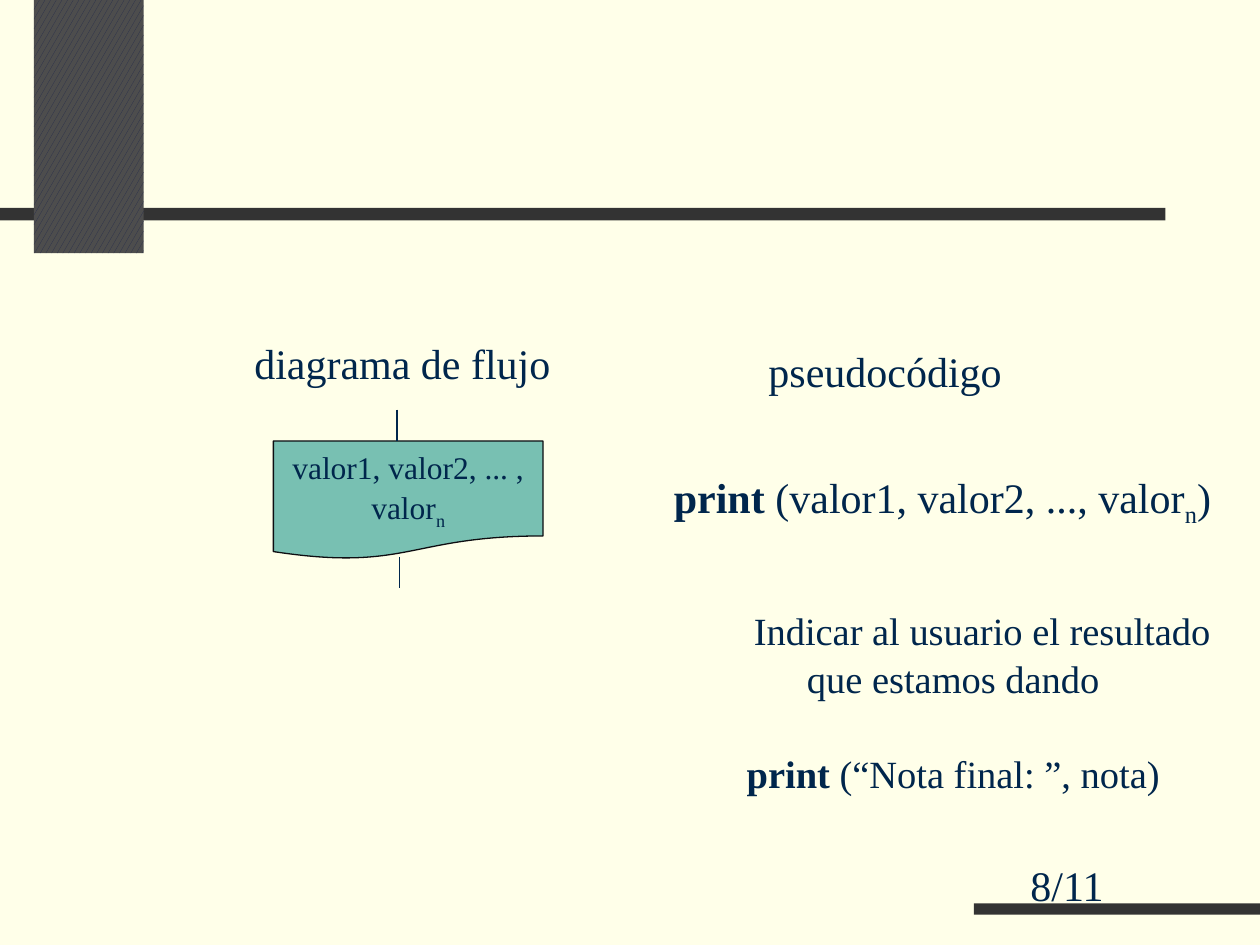
from pptx import Presentation
from pptx.dml.color import RGBColor
from pptx.enum.dml import MSO_PATTERN
from pptx.enum.shapes import MSO_CONNECTOR, MSO_SHAPE
from pptx.enum.text import MSO_ANCHOR, PP_ALIGN
from pptx.oxml.ns import qn
from pptx.util import Inches, Pt

INK = "00264C"
BARS = [(0, 1.65, 9.25, 0.1), (7.73, 7.17, 2.27, 0.09)]
TOWER = (0.27, 0, 0.87, 2.01)
FLOW_LINES = [(3.15, 3.25), (3.17, 4.42)]
FLOW_LENGTH = 0.25
BOLD, SUB = "bold", "subscript"

DOCUMENT = {
    "at": (2.17, 3.5, 2.14, 0.94),
    "size": 18,
    "align": PP_ALIGN.CENTER,
    "lines": [[("valor1, valor2, ... ,", "")], [("valor", ""), ("n", SUB)]],
}
LABELS = [
    {"at": (1.92, 2.61, 3, 0.5), "size": 24, "align": PP_ALIGN.LEFT,
     "lines": [[("diagrama de flujo", "")]]},
    {"at": (6, 2.67, 2.05, 0.5), "size": 24, "align": PP_ALIGN.LEFT,
     "lines": [[("pseudocódigo", "")]]},
    {"at": (5.25, 3.67, 4.48, 0.5), "size": 24, "align": PP_ALIGN.LEFT,
     "lines": [[("print", BOLD), (" (valor1, valor2, ..., valor", ""),
                ("n", SUB), (")", "")]]},
    {"at": (5.32, 4.75, 4.49, 1.2), "size": 22, "align": PP_ALIGN.CENTER,
     "first_indent": 0.46, "last_gap": 26.5,
     "lines": [[("Indicar al usuario el resultado", "")],
               [("que estamos dando", "")],
               [("print", BOLD), (" (“Nota final: ”, nota)", "")]]},
    {"at": (8.08, 6.75, 1.42, 0.42), "size": 24, "align": PP_ALIGN.LEFT,
     "lines": [[("8/11", "")]]},
]


def color(value):
    """Turn a hex string into a colour."""
    return RGBColor.from_string(value)


def place(values):
    """Turn numbers into lengths in inches."""
    return [Inches(value) for value in values]


def write(shape, label, wrap):
    """Write the lines of a label into a shape."""
    frame = shape.text_frame
    frame.word_wrap = wrap
    for index, line in enumerate(label["lines"]):
        para = frame.add_paragraph() if index else frame.paragraphs[0]
        settings = {"alignment": label["align"], "line_spacing": 1.05}
        for name, value in settings.items():
            setattr(para, name, value)
        for text, style in line:
            span = para.add_run()
            span.text = text
            formats = {"name": "Times New Roman", "size": Pt(label["size"]),
                       "bold": style == BOLD}
            for name, value in formats.items():
                setattr(span.font, name, value)
            span.font.color.rgb = color(INK)
            if style == SUB:
                span.font._element.set("baseline", "-25000")
    if "first_indent" in label:
        properties = frame.paragraphs[0]._p.get_or_add_pPr()
        properties.set("marL", str(Inches(label["first_indent"])))
        properties.set("indent", "0")
    if "last_gap" in label:
        frame.paragraphs[-1].space_before = Pt(label["last_gap"])


def add_block(page, kind, at, fill, line=None):
    """Add a flat shape with an optional outline."""
    box = page.shapes.add_shape(kind, *place(at))
    box.shadow.inherit = False
    box.fill.solid()
    box.fill.fore_color.rgb = color(fill)
    if line:
        box.line.color.rgb = color(line)
        box.line.width = Pt(0.75)
    else:
        box.line.fill.background()
    return box


def add_flow_line(page, left, top):
    """Add a short vertical line of the flow chart."""
    ends = place((left, top, left, top + FLOW_LENGTH))
    line = page.shapes.add_connector(MSO_CONNECTOR.STRAIGHT, *ends)
    line.line.color.rgb = color(INK)
    line.line.width = Pt(0.75)
    properties = line._element.spPr
    properties.append(properties.makeelement(qn("a:effectLst"), {}))


def main():
    """Build the slide and save it."""
    deck = Presentation()
    deck.slide_width, deck.slide_height = place((10, 7.5))
    page = deck.slides.add_slide(deck.slide_layouts[6])
    page.background.fill.solid()
    page.background.fill.fore_color.rgb = color("FFFFE9")

    for bar in BARS:
        add_block(page, MSO_SHAPE.RECTANGLE, bar, "333333")
    tower = add_block(page, MSO_SHAPE.RECTANGLE, TOWER, "4D4D4D")
    tower.fill.patterned()
    tower.fill.pattern = MSO_PATTERN.LARGE_CONFETTI
    tower.fill.fore_color.rgb = color("262D4C")
    tower.fill.back_color.rgb = color("4D4D4D")

    document = add_block(page, MSO_SHAPE.FLOWCHART_DOCUMENT, DOCUMENT["at"],
                         "78C0B2", "0D0D11")
    document.text_frame.vertical_anchor = MSO_ANCHOR.MIDDLE
    write(document, DOCUMENT, False)
    for left, top in FLOW_LINES:
        add_flow_line(page, left, top)
    for label in LABELS:
        write(page.shapes.add_textbox(*place(label["at"])), label, True)
    deck.save("out.pptx")


if __name__ == "__main__":
    main()
